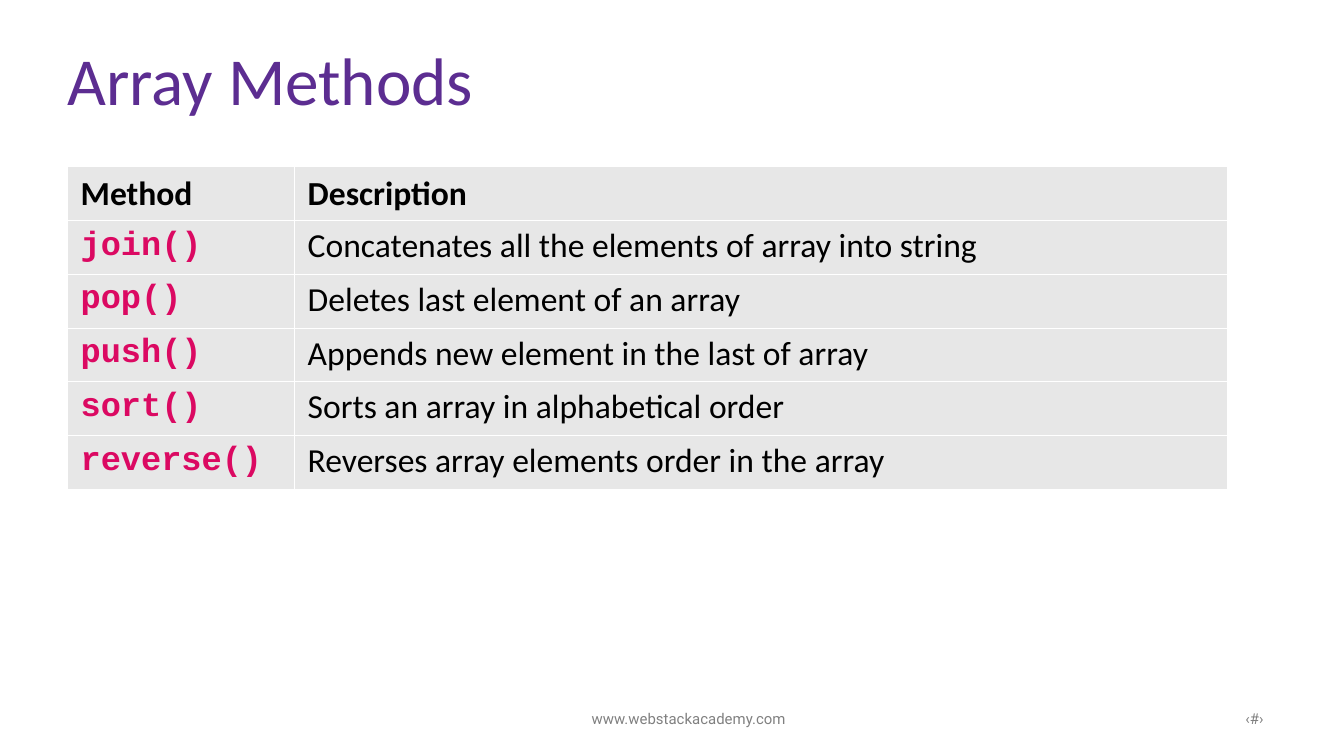
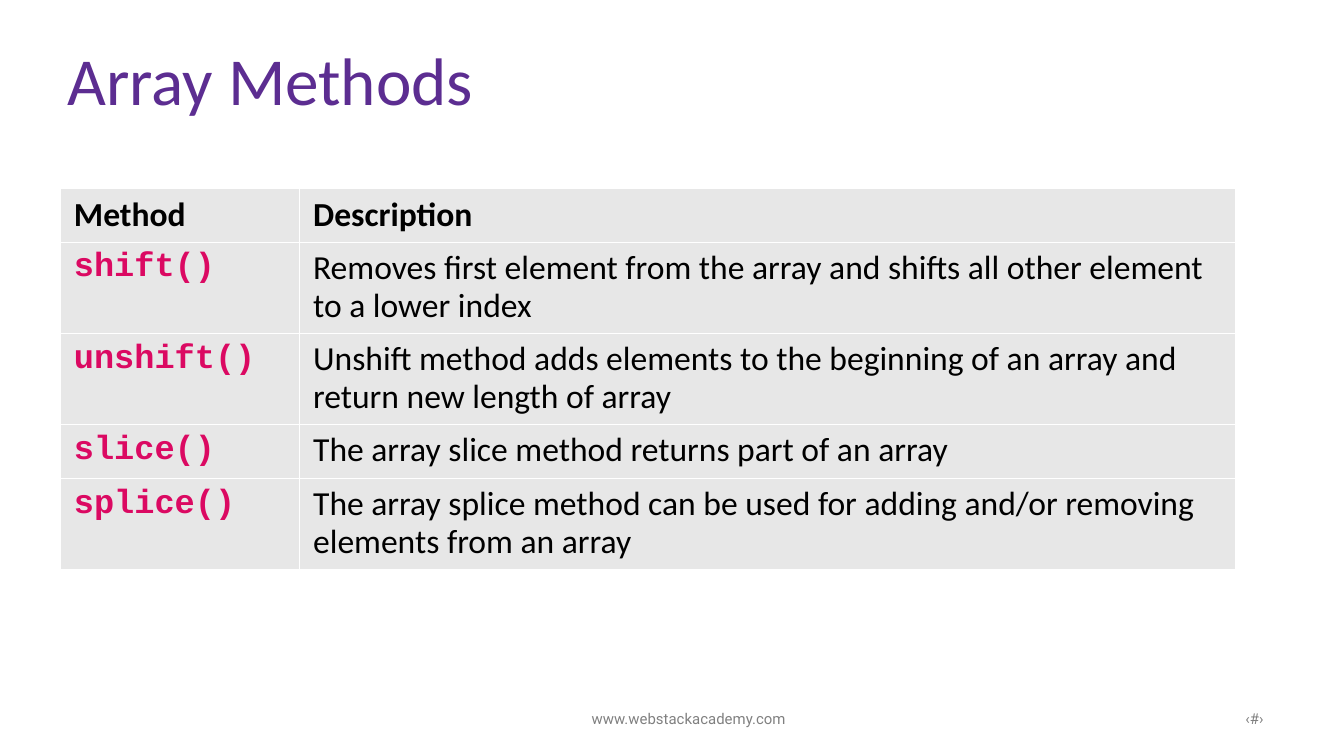
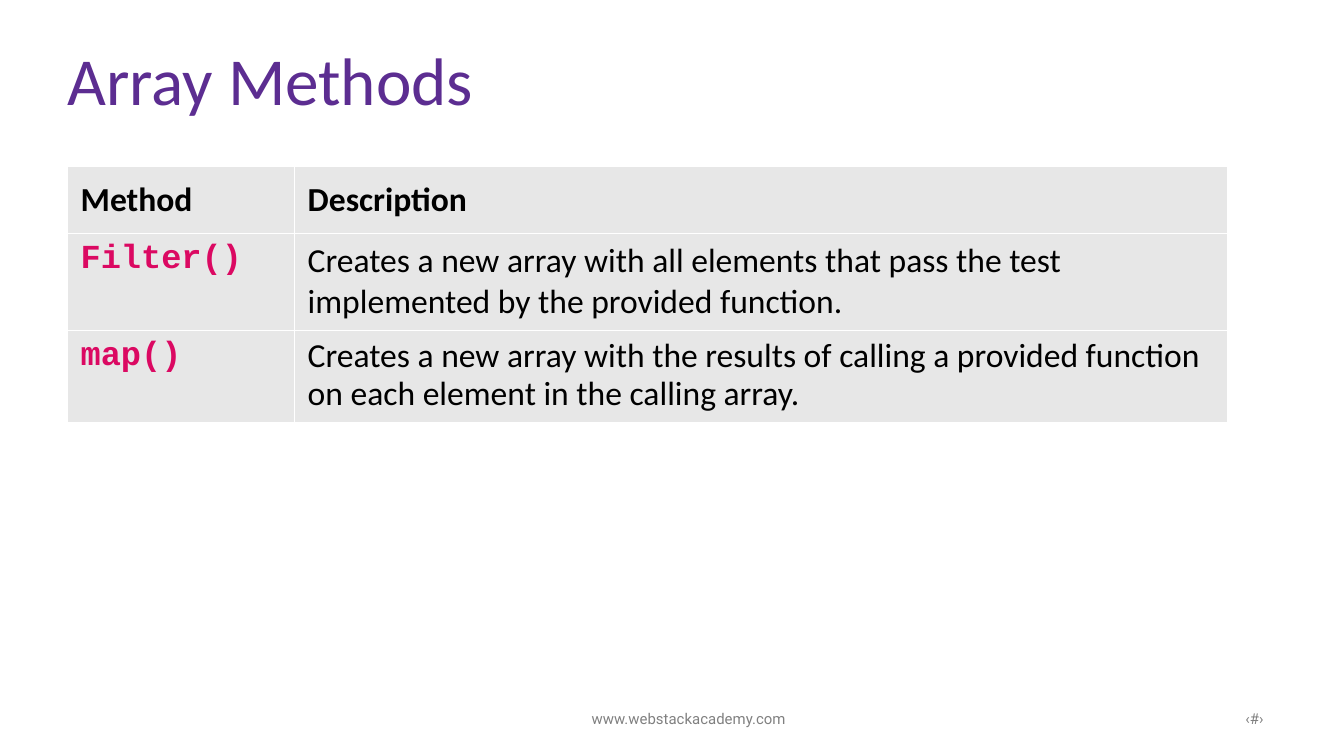
from lxml.etree import SubElement
from pptx import Presentation
from pptx.dml.color import RGBColor
from pptx.enum.text import MSO_ANCHOR as Anchor, MSO_AUTO_SIZE as AutoSize, PP_ALIGN as Align
from pptx.oxml.ns import qn
from pptx.util import Inches, Pt

PURPLE = RGBColor(0x5C, 0x2D, 0x91)
PINK = RGBColor(0xDB, 0x09, 0x62)
GRAY = RGBColor(0x80, 0x80, 0x80)
LIGHT_GRAY = RGBColor(0xE7, 0xE7, 0xE7)
BLACK = RGBColor(0, 0, 0)
WHITE = RGBColor(0xFF, 0xFF, 0xFF)

TITLE_ONLY = 5
TIGHT = 0.93
ONE_LINE = 0.4
TWO_LINES = 0.68

BASIC_METHODS = [
    ("join()", "Concatenates all the elements of array into string"),
    ("pop()", "Deletes last element of an array"),
    ("push()", "Appends new element in the last of array"),
    ("sort()", "Sorts an array in alphabetical order"),
    ("reverse()", "Reverses array elements order in the array"),
]
INDEX_METHODS = [
    ("shift()", "Removes first element from the array and shifts all other element to a lower index"),
    ("unshift()", "Unshift method adds elements to the beginning of an array and return new length of array"),
    ("slice()", "The array slice method returns part of an array"),
    ("splice()", "The array splice method can be used for adding and/or removing elements from an array"),
]
CALLBACK_METHODS = [
    ("Filter()", "Creates a new array with all elements that pass the test implemented by the provided function."),
    ("map()", "Creates a new array with the results of calling a provided function "
              "on each element in the calling array."),
]


def write_text(frame, text, size=18, font="Calibri", color=BLACK, bold=False,
               align=Align.LEFT, spacing=TIGHT):
    paragraph = frame.paragraphs[0]
    paragraph.alignment = align
    paragraph.line_spacing = spacing
    run = paragraph.add_run()
    run.text = text
    run.font.size = Pt(size)
    run.font.name = font
    run.font.bold = bold
    run.font.color.rgb = color


def set_title(slide, text):
    title = slide.shapes.title
    title.left, title.top = Inches(0.5), Inches(0.13)
    title.width, title.height = Inches(9), Inches(0.94)
    frame = title.text_frame
    frame.auto_size = AutoSize.NONE
    frame.vertical_anchor = Anchor.MIDDLE
    frame.margin_left = frame.margin_right = frame.margin_bottom = 0
    frame.margin_top = Inches(0.04)
    write_text(frame, text, size=36, color=PURPLE)


def add_footer(slide, text, left, align):
    box = slide.shapes.add_textbox(Inches(left), Inches(5.23), Inches(2.25), Inches(0.23))
    box.text_frame.word_wrap = True
    write_text(box.text_frame, text, size=8, font="Roboto", color=GRAY, align=align, spacing=1.0)


def style_cell(cell):
    properties = cell._tc.get_or_add_tcPr()
    for side in ("a:lnL", "a:lnR", "a:lnT", "a:lnB"):
        line = SubElement(properties, qn(side), w=str(Pt(0.45)))
        SubElement(SubElement(line, qn("a:solidFill")), qn("a:srgbClr"), val=str(WHITE))
    cell.fill.solid()
    cell.fill.fore_color.rgb = LIGHT_GRAY


def add_method_table(slide, methods, left, top, column_widths, row_heights, loose_rows=()):
    frame = slide.shapes.add_table(len(row_heights), len(column_widths), Inches(left), Inches(top),
                                   Inches(sum(column_widths)), Inches(sum(row_heights)))
    table = frame.table
    for column, width in zip(table.columns, column_widths):
        column.width = Inches(width)
    for row, height in zip(table.rows, row_heights):
        row.height = Inches(height)
    for cell in table.iter_cells():
        style_cell(cell)
    for index, heading in enumerate(("Method", "Description")):
        cell = table.cell(0, index)
        cell.vertical_anchor = Anchor.MIDDLE
        write_text(cell.text_frame, heading, bold=True)
    for index, (method, description) in enumerate(methods, start=1):
        write_text(table.cell(index, 0).text_frame, method, font="Courier New", color=PINK, bold=True)
        write_text(table.cell(index, 1).text_frame, description,
                   spacing=1.0 if index in loose_rows else TIGHT)


def add_method_slide(presentation, methods, **table_format):
    slide = presentation.slides.add_slide(presentation.slide_layouts[TITLE_ONLY])
    add_footer(slide, "www.webstackacademy.com", 4, Align.CENTER)
    add_footer(slide, "‹#›", 7.25, Align.RIGHT)
    set_title(slide, "Array Methods")
    add_method_table(slide, methods, **table_format)


def main():
    presentation = Presentation()
    presentation.slide_width = Inches(10)
    presentation.slide_height = presentation.slide_width * 9 // 16
    standard = dict(left=0.5, top=1.24, column_widths=(1.69, 6.94))
    add_method_slide(presentation, BASIC_METHODS, row_heights=[ONE_LINE] * 6, **standard)
    add_method_slide(presentation, INDEX_METHODS, left=0.45, top=1.4, column_widths=(1.78, 6.96),
                     row_heights=[ONE_LINE, TWO_LINES, TWO_LINES, ONE_LINE, TWO_LINES])
    add_method_slide(presentation, CALLBACK_METHODS, row_heights=[0.5, 0.72, TWO_LINES],
                     loose_rows=(1,), **standard)
    presentation.save("out.pptx")


if __name__ == "__main__":
    main()
